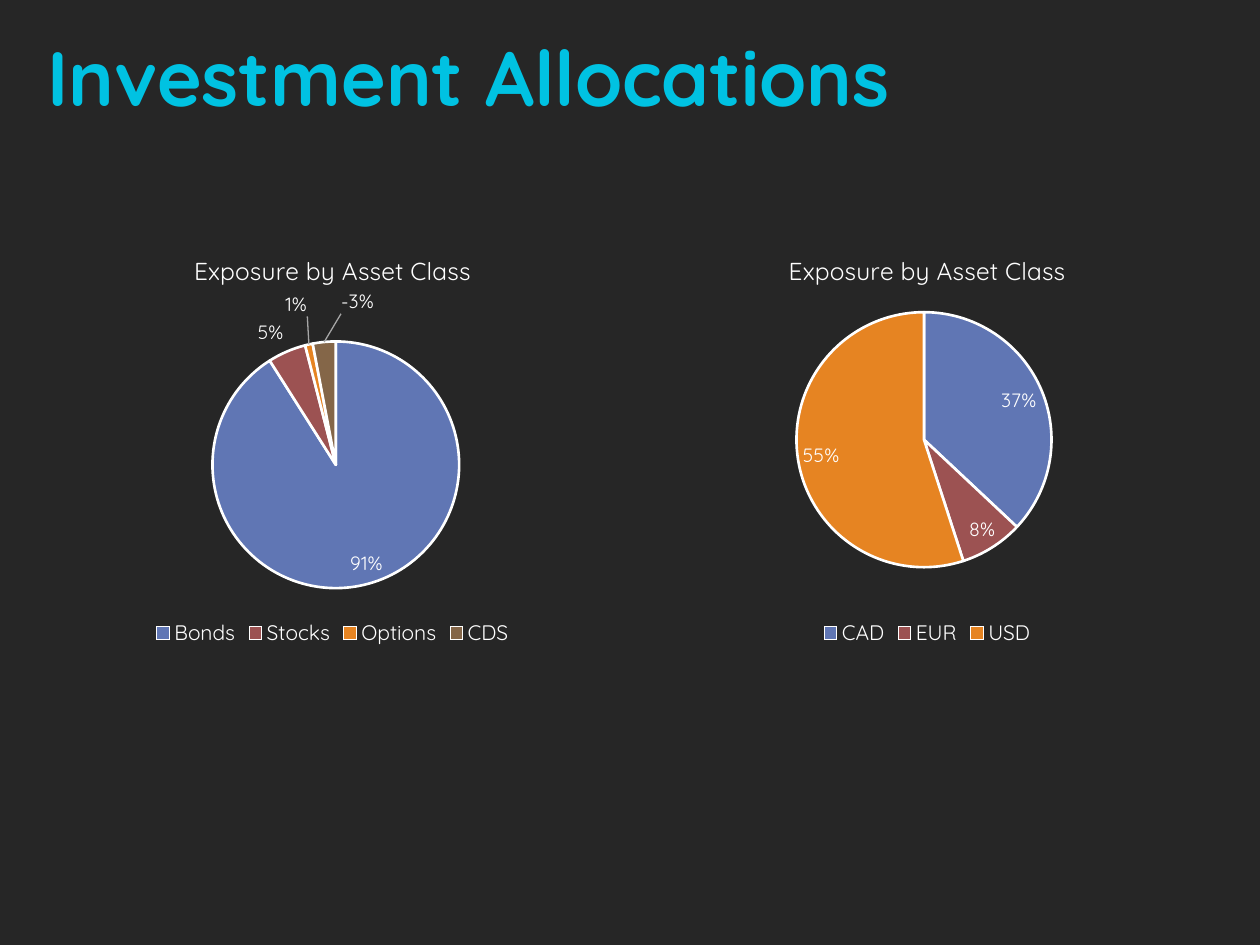
from dataclasses import dataclass
from lxml.etree import fromstring
from pptx import Presentation
from pptx.chart.data import CategoryChartData as ChartData
from pptx.dml.color import RGBColor as Rgb
from pptx.enum.chart import XL_CHART_TYPE as Kind
from pptx.enum.chart import XL_LABEL_POSITION as Spot
from pptx.enum.chart import XL_LEGEND_POSITION as Side
from pptx.enum.text import MSO_ANCHOR as Anchor
from pptx.enum.text import MSO_AUTO_SIZE as Fit
from pptx.enum.text import PP_ALIGN as Align
from pptx.oxml import parse_xml
from pptx.util import Pt

NS = ('xmlns:c="http://schemas.openxmlformats.org/drawingml/2006/chart" '
      'xmlns:a="http://schemas.openxmlformats.org/drawingml/2006/main"')


@dataclass(frozen=True)
class Theme:
    face: str = "Quicksand"
    back: str = "262626"
    head: str = "00C2E2"
    text: str = "FFFFFF"
    lead: str = "A6A6A6"
    hues: tuple = ("6076B4", "9C5252", "E68422", "846648")
    big: int = 44
    name: int = 14
    key: int = 12
    label: int = 11


def layout(inner="", **pos):
    """Build a manual chart layout from fractions of the chart size."""
    vals = "".join(f'<c:{k} val="{v}"/>' for k, v in pos.items())
    return parse_xml(f"<c:layout {NS}><c:manualLayout>{inner}{vals}"
                     "</c:manualLayout></c:layout>")


class Deck:
    def __init__(self, theme):
        self.theme = theme
        self.file = Presentation()
        self.file.slide_width, self.file.slide_height = Pt(720), Pt(540)
        self.slide = self.file.slides.add_slide(self.file.slide_layouts[5])
        fill = self.slide.background.fill
        fill.solid()
        fill.fore_color.rgb = Rgb.from_string(theme.back)

    def font(self, font, size, color, bold=False):
        font.name, font.size, font.bold = self.theme.face, Pt(size), bold
        font.color.rgb = Rgb.from_string(color)

    def title(self, text, x, y, w, h):
        box = self.slide.shapes.title
        box.left, box.top, box.width, box.height = map(Pt, (x, y, w, h))
        frame = box.text_frame
        frame.auto_size, frame.word_wrap = Fit.NONE, True
        frame.vertical_anchor = Anchor.MIDDLE
        para = frame.paragraphs[0]
        para.alignment = Align.LEFT
        run = para.add_run()
        run.text = text
        self.font(run.font, self.theme.big, self.theme.head, True)

    def pie(self, text, rows, box, plot, moves):
        th = self.theme
        data = ChartData(number_format="0%")
        data.categories = list(rows)
        data.add_series("Series 1", list(rows.values()))
        chart = self.slide.shapes.add_chart(
            Kind.PIE, *map(Pt, box), data).chart
        self.font(chart.font, th.label, th.text)

        # Chart title and legend
        chart.has_title = True
        run = chart.chart_title.text_frame.paragraphs[0].add_run()
        run.text = text
        self.font(run.font, th.name, th.text)
        chart.has_legend = True
        chart.legend.position = Side.BOTTOM
        chart.legend.include_in_layout = False
        self.font(chart.legend.font, th.key, th.text)

        # Plot area
        area = chart.plots[0]
        area.vary_by_categories = True
        node = chart.element.find(".//{*}plotArea")
        for old in node.findall("{*}layout"):
            node.remove(old)
        x, y, w, h = plot
        node.insert(0, layout('<c:layoutTarget val="inner"/>'
                              '<c:xMode val="edge"/><c:yMode val="edge"/>',
                              x=x, y=y, w=w, h=h))

        # Slices
        ser = area.series[0]
        for i, color in zip(range(len(rows)), th.hues):
            form = ser.points[i].format
            form.fill.solid()
            form.fill.fore_color.rgb = Rgb.from_string(color)
            form.line.color.rgb = Rgb.from_string(th.text)
            form.line.width = Pt(1.5)

        # Labels
        tags = ser.data_labels
        tags.show_value = True
        tags.number_format, tags.number_format_is_linked = "0%", False
        tags.position = Spot.BEST_FIT
        self.font(tags.font, th.label, th.text)
        for i in moves:
            tag = ser.points[i].data_label
            self.font(tag.font, th.label, th.text)
            tag.position = Spot.OUTSIDE_END
        for node in chart.element.iterfind(".//{*}dLbl"):
            dx, dy = moves[int(node.find("{*}idx").get("val"))]
            node.insert(1, layout(x=dx, y=dy))
            node.insert(2, parse_xml(
                f'<c:numFmt {NS} formatCode="0%" sourceLinked="0"/>'))
        for node in chart.element.iterfind(".//{*}showLeaderLines"):
            node.addnext(fromstring(
                f'<c:leaderLines {NS}><c:spPr><a:ln w="9525"><a:solidFill>'
                f'<a:srgbClr val="{th.lead}"/></a:solidFill></a:ln></c:spPr>'
                '</c:leaderLines>'))


deck = Deck(Theme())
deck.title("Investment Allocations", 20, -2, 668, 90)

# Two pies: data, box, plot fractions, label shifts
name, top, high = "Exposure by Asset Class", 133, 239
pies = [
    ({"Bonds": 0.91, "Stocks": 0.05, "Options": 0.01, "CDS": -0.03},
     (8.6, 363), (0.31, 0.26, 0.39, 0.59), {2: (0, -0.05), 3: (0.08, -0.05)}),
    ({"CAD": 0.37, "EUR": 0.08, "USD": 0.55},
     (342.7, 374.4), (0.3, 0.19, 0.39, 0.61), {}),
]
for rows, (left, wide), plot, moves in pies:
    deck.pie(name, rows, (left, top, wide, high), plot, moves)

deck.file.save("out.pptx")
